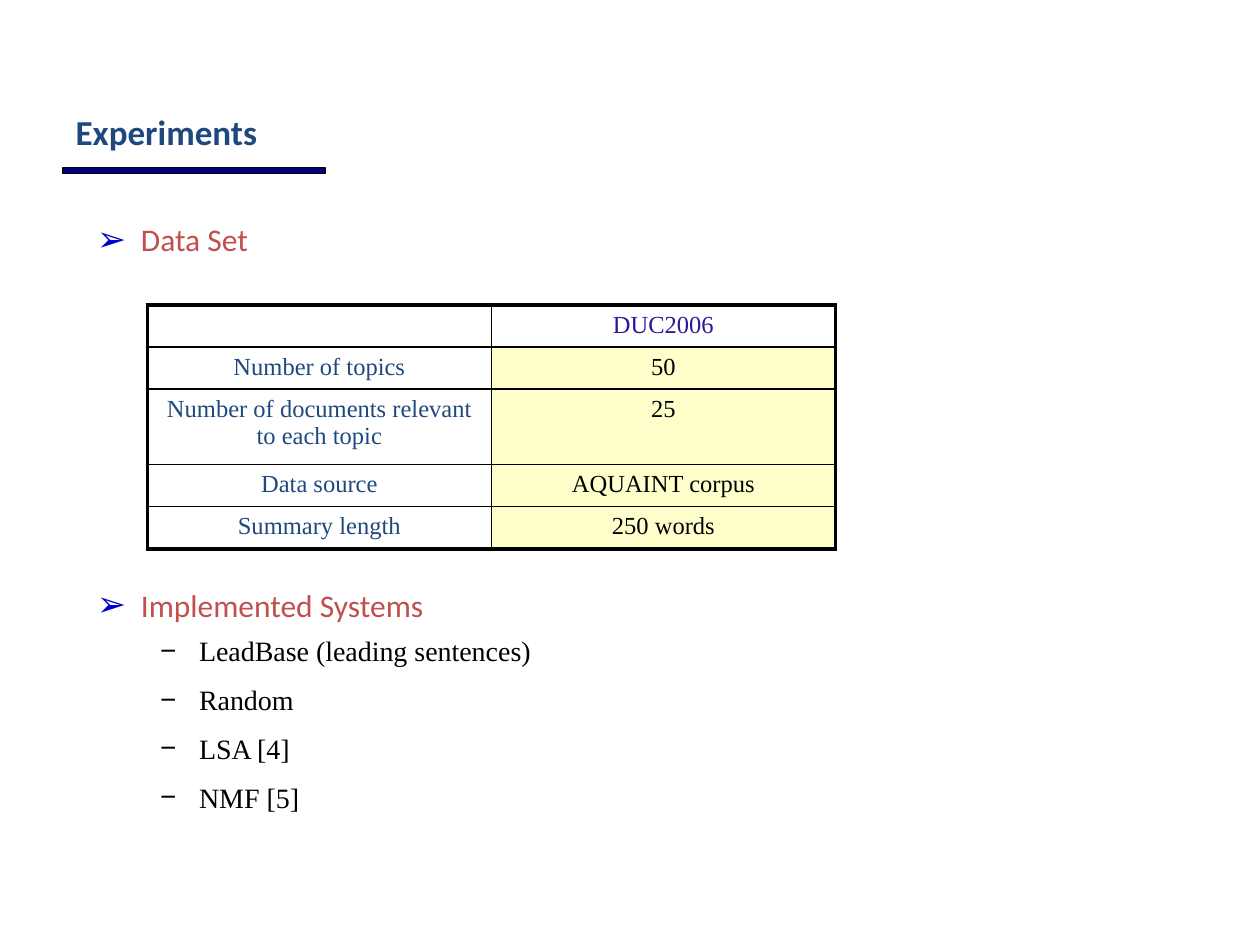
from lxml.etree import SubElement
from pptx import Presentation
from pptx.dml.color import RGBColor
from pptx.enum.shapes import MSO_SHAPE
from pptx.enum.text import MSO_ANCHOR, PP_ALIGN
from pptx.oxml.ns import qn
from pptx.util import Inches, Pt

BLACK = RGBColor(0x00, 0x00, 0x00)
NAVY = RGBColor(0x00, 0x00, 0x80)
TITLE_BLUE = RGBColor(0x1F, 0x49, 0x7D)
HEADER_BLUE = RGBColor(0x28, 0x19, 0x97)
BULLET_BLUE = RGBColor(0x00, 0x00, 0xCC)
RED = RGBColor(0xC0, 0x50, 0x4D)
CREAM = RGBColor(0xFF, 0xFF, 0xCC)

SANS, SERIF = "Calibri", "Times New Roman"
THICK, THIN = Pt(2.25), Pt(1)

DATA_SET = [
    ("", "DUC2006"),
    ("Number of topics", "50"),
    ("Number of documents relevant to each topic", "25"),
    ("Data source", "AQUAINT corpus"),
    ("Summary length", "250 words"),
]
ROW_HEIGHTS = [0.33, 0.33, 0.6, 0.33, 0.33]
SYSTEMS = ["LeadBase (leading sentences)", "Random", "LSA [4]", "NMF [5]"]


def inches(*lengths):
    return [Inches(length) for length in lengths]


def set_font(para, name, size, color, bold=False):
    font = para.font
    font.name, font.size, font.bold = name, Pt(size), bold
    font.color.rgb = color


def set_bullet(para, mark, indent, color=BLACK, percent=100):
    """Give the paragraph a hanging bullet; indent is in inches."""
    properties = para._p.get_or_add_pPr()
    properties.set("marL", str(Inches(indent)))
    properties.set("indent", str(-Inches(indent)))
    bullet_color = SubElement(properties, qn("a:buClr"))
    SubElement(bullet_color, qn("a:srgbClr"), val=str(color))
    SubElement(properties, qn("a:buSzPct"), val=str(percent * 1000))
    SubElement(properties, qn("a:buFont"), typeface="Arial")
    SubElement(properties, qn("a:buChar"), char=mark)


def place(shape, box):
    shape.left, shape.top, shape.width, shape.height = inches(*box)


def add_title(page, text, box):
    title = page.shapes.title
    place(title, box)
    title.text_frame.text = text
    title.text_frame.vertical_anchor = MSO_ANCHOR.MIDDLE
    para = title.text_frame.paragraphs[0]
    para.alignment = PP_ALIGN.LEFT
    set_font(para, SANS, 20, TITLE_BLUE, bold=True)


def add_title_rule(page, box):
    rule = page.shapes.add_shape(MSO_SHAPE.RECTANGLE, *inches(*box))
    rule.shadow.inherit = False
    rule.fill.solid()
    rule.fill.fore_color.rgb = NAVY
    rule.line.color.rgb = BLACK
    rule.line.width = Pt(0.75)


def add_heading(page, text, box):
    frame = page.shapes.add_textbox(*inches(*box)).text_frame
    frame.word_wrap = True
    frame.text = text
    para = frame.paragraphs[0]
    set_font(para, SANS, 18, RED)
    set_bullet(para, "➢", 0.35, BULLET_BLUE, 111)


def set_borders(cell, widths):
    """Draw black borders, widths ordered left, right, top, bottom."""
    properties = cell._tc.get_or_add_tcPr()
    for side, width in zip("LRTB", widths):
        line = SubElement(properties, qn(f"a:ln{side}"), w=str(width))
        fill = SubElement(line, qn("a:solidFill"))
        SubElement(fill, qn("a:srgbClr"), val=str(BLACK))


def add_data_table(page, rows, box):
    last_row, last_column = len(rows) - 1, len(rows[0]) - 1
    table = page.shapes.add_table(len(rows), len(rows[0]), *inches(*box)).table
    table.first_row = table.horz_banding = False
    for row, height in zip(table.rows, ROW_HEIGHTS):
        row.height = Inches(height)
    for r, values in enumerate(rows):
        for c, value in enumerate(values):
            cell = table.cell(r, c)
            edges = (c == 0, c == last_column, r == 0, r == last_row)
            set_borders(cell, [THICK if outer else THIN for outer in edges])
            if r and c:
                cell.fill.solid()
                cell.fill.fore_color.rgb = CREAM
            else:
                cell.fill.background()
            cell.text = value
            para = cell.text_frame.paragraphs[0]
            para.alignment = PP_ALIGN.CENTER
            color = TITLE_BLUE if c == 0 else BLACK if r else HEADER_BLUE
            set_font(para, SERIF, 14, color)


def add_system_list(page, items, box):
    body = page.placeholders[1]
    place(body, box)
    frame = body.text_frame
    frame.text = "\n".join(items)
    for para in frame.paragraphs:
        para.space_before, para.space_after = Pt(0), Pt(8.75)
        set_font(para, SERIF, 16, BLACK)
        set_bullet(para, "−", 0.31)


def build_experiments(deck):
    page = deck.slides.add_slide(deck.slide_layouts[1])
    add_title(page, "Experiments", (0.5, 0.42, 9, 1.25))
    add_title_rule(page, (0.5, 1.33, 2.08, 0.05))
    add_heading(page, "Data Set", (0.67, 1.7, 2.08, 0.4))
    add_data_table(page, DATA_SET, (1.17, 2.42, 5.46, sum(ROW_HEIGHTS)))
    add_heading(page, "Implemented Systems", (0.67, 4.6, 3.33, 0.4))
    add_system_list(page, SYSTEMS, (1.17, 4.98, 8.25, 1.59))


def main():
    deck = Presentation()
    deck.slide_width, deck.slide_height = inches(10, 7.5)
    build_experiments(deck)
    deck.save("out.pptx")


if __name__ == "__main__":
    main()
